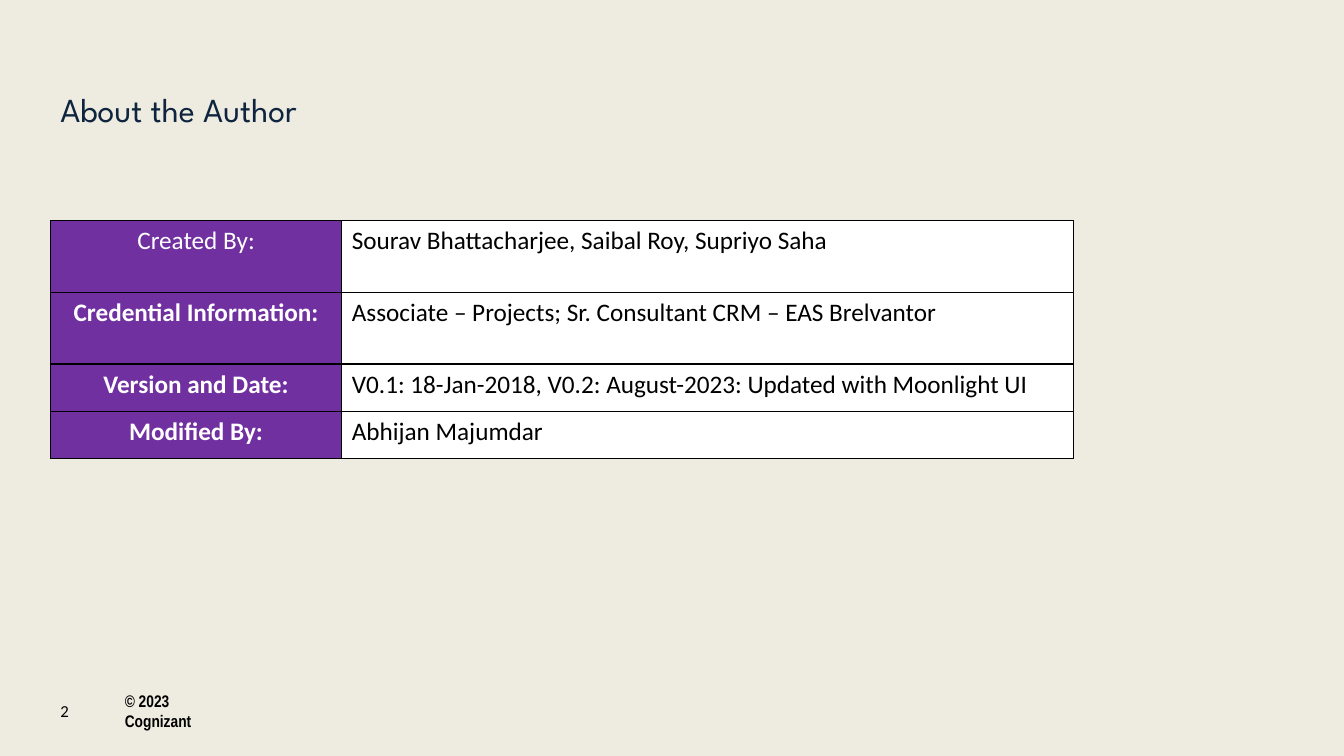
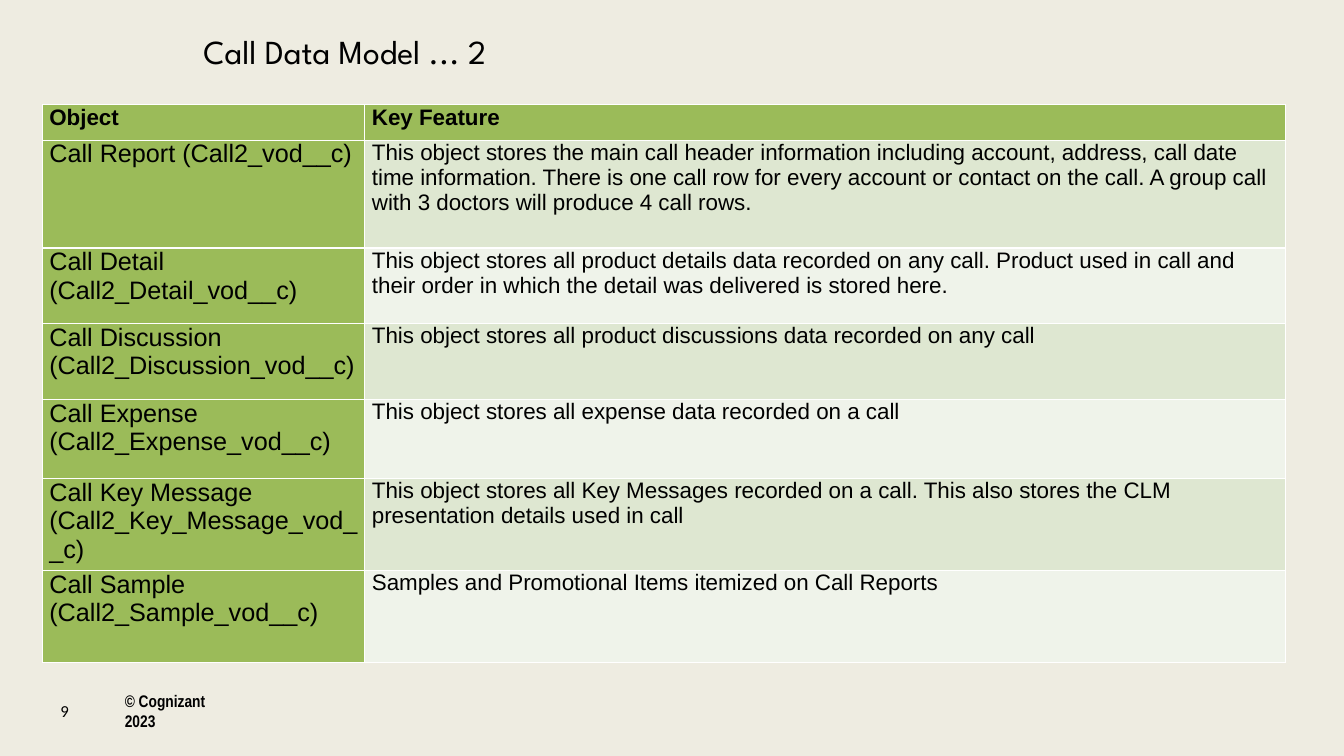
"""Build an author slide and a data model slide that share title, footer and table styles."""
from dataclasses import dataclass

from lxml.etree import SubElement
from pptx import Presentation
from pptx.dml.color import RGBColor
from pptx.enum.text import MSO_ANCHOR, PP_ALIGN
from pptx.oxml.ns import qn
from pptx.util import Inches, Pt


@dataclass(frozen=True)
class Theme:
    width: float = 13.33
    height: float = 7.5
    paper: str = "EEECE1"
    ink: str = "000000"
    navy: str = "0F243E"
    white: str = "FFFFFF"
    purple: str = "7030A0"
    green: str = "9BBB59"
    bands: tuple = ("DEE7D1", "EFF3EA")
    title_font: str = "League Spartan"
    body_font: str = "Calibri"
    table_font: str = "Arial"
    footer_font: str = "Arial Narrow"
    title_size: int = 24
    large: int = 18
    medium: int = 16
    small: int = 12


T = Theme()

AUTHOR_ROWS = [
    ("Created By:", "Sourav Bhattacharjee, Saibal Roy, Supriyo Saha"),
    ("Credential Information:", "Associate – Projects; Sr. Consultant CRM – EAS Brelvantor"),
    ("Version and Date:", "V0.1: 18-Jan-2018, V0.2: August-2023: Updated with Moonlight UI"),
    ("Modified By:", "Abhijan Majumdar"),
]

MODEL_ROWS = [
    ("Object", "Key Feature"),
    ("Call Report (Call2_vod__c)",
     "This object stores the main call header information including account, address, "
     "call date time information. There is one call row for every account or contact "
     "on the call. A group call with 3 doctors will produce 4 call rows."),
    ("Call Detail (Call2_Detail_vod__c)",
     "This object stores all product details data recorded on any call. Product used in "
     "call and their order in which the detail was delivered is stored here."),
    ("Call Discussion (Call2_Discussion_vod__c)",
     "This object stores all product discussions data recorded on any call"),
    ("Call Expense (Call2_Expense_vod__c)",
     "This object stores all expense data recorded on a call"),
    ("Call Key Message (Call2_Key_Message_vod__c)",
     "This object stores all Key Messages recorded on a call. This also stores the CLM "
     "presentation details used in call"),
    ("Call Sample (Call2_Sample_vod__c)",
     "Samples and Promotional Items itemized on Call Reports"),
]


def across(percent):
    """Return a share of the slide width."""
    return Inches(T.width * percent / 100)


def down(percent):
    """Return a share of the slide height."""
    return Inches(T.height * percent / 100)


def text_format(name, size, color=T.ink, bold=False):
    """Return the format values of one run."""
    return {"name": name, "size": Pt(size), "bold": bold, "color": color}


def write(tf, text, fmt, align=PP_ALIGN.LEFT):
    """Write one formatted paragraph into a text frame."""
    p = tf.paragraphs[0]
    p.alignment = align
    r = p.add_run()
    r.text = text
    for key, value in fmt.items():
        if key == "color":
            r.font.color.rgb = RGBColor.from_string(value)
        else:
            setattr(r.font, key, value)


def add_text(s, box, text, fmt):
    """Add a wrapped, vertically centred text box."""
    x, y, w, h = box
    tf = s.shapes.add_textbox(across(x), down(y), across(w), down(h)).text_frame
    tf.word_wrap = True
    tf.vertical_anchor = MSO_ANCHOR.MIDDLE
    write(tf, text, fmt)


def add_borders(cell, color):
    """Draw a one-point line on every side of a cell."""
    tc_pr = cell._tc.get_or_add_tcPr()
    for side in ("a:lnL", "a:lnR", "a:lnT", "a:lnB"):
        ln = SubElement(tc_pr, qn(side), w=str(Pt(1)))
        fill = SubElement(ln, qn("a:solidFill"))
        SubElement(fill, qn("a:srgbClr"), val=color)


def add_table(s, origin, cols, heights, rows, border, style):
    """Add a table whose cells are styled by a rule of row and column."""
    x, y = origin
    tbl = s.shapes.add_table(len(rows), len(cols), across(x), down(y),
                             across(sum(cols)), down(sum(heights))).table
    tbl.first_row = tbl.horz_banding = False
    for column, width in zip(tbl.columns, cols):
        column.width = across(width)
    for row, height in zip(tbl.rows, heights):
        row.height = down(height)
    for i, texts in enumerate(rows):
        for j, text in enumerate(texts):
            cell = tbl.cell(i, j)
            fill, fmt, align, margins = style(i, j)
            add_borders(cell, border)
            cell.fill.solid()
            cell.fill.fore_color.rgb = RGBColor.from_string(fill)
            for side, value in margins.items():
                setattr(cell, f"margin_{side}", Inches(value))
            write(cell.text_frame, text, fmt, align)


def author_style(i, j):
    """Style purple labels on the left and white values on the right."""
    if j == 0:
        fmt = text_format(T.body_font, T.large, T.white, bold=i > 0)
        return T.purple, fmt, PP_ALIGN.CENTER, {}
    return T.white, text_format(T.body_font, T.large), PP_ALIGN.LEFT, {}


def model_style(i, j):
    """Style a green header row and first column beside banded text."""
    header = i == 0
    fill = T.green if header or j == 0 else T.bands[(i - 1) % 2]
    size = T.large if j == 0 and not header else T.medium
    margins = {"left": 0.07, "right": 0.07, "top": 0, "bottom": 0}
    return fill, text_format(T.table_font, size, bold=header), PP_ALIGN.LEFT, margins


def add_slide(prs, title, title_box, title_color, number, notice):
    """Add a slide with its title, number and copyright line."""
    s = prs.slides.add_slide(prs.slide_layouts[6])
    add_text(s, (8.55, 91.33, 9.83, 5.33), notice,
             text_format(T.footer_font, T.small, bold=True))
    add_text(s, (3.75, 91.33, 2.93, 5.33), number, text_format(T.body_font, T.small))
    add_text(s, title_box, title, text_format(T.title_font, T.title_size, title_color))
    return s


def main():
    """Build and save the presentation."""
    prs = Presentation()
    prs.slide_width, prs.slide_height = across(100), down(100)
    paper = prs.slide_master.background.fill
    paper.solid()
    paper.fore_color.rgb = RGBColor.from_string(T.paper)

    s = add_slide(prs, "About the Author", (3.75, 12.13, 88.67, 4.53), T.navy,
                  "2", "© 2023 Cognizant")
    add_table(s, (3.75, 29.2), (21.68, 54.46), (9.47, 9.47, 6.27, 6.27),
              AUTHOR_ROWS, T.ink, author_style)

    s = add_slide(prs, "Call Data Model ... 2", (14.4, 3.33, 75, 6.93), T.ink,
                  "9", "© Cognizant 2023")
    add_table(s, (3.15, 13.87), (24, 68.5),
              (4.67, 14.27, 10, 10, 10.53, 12.13, 12.13),
              MODEL_ROWS, T.white, model_style)

    prs.save("out.pptx")


if __name__ == "__main__":
    main()
